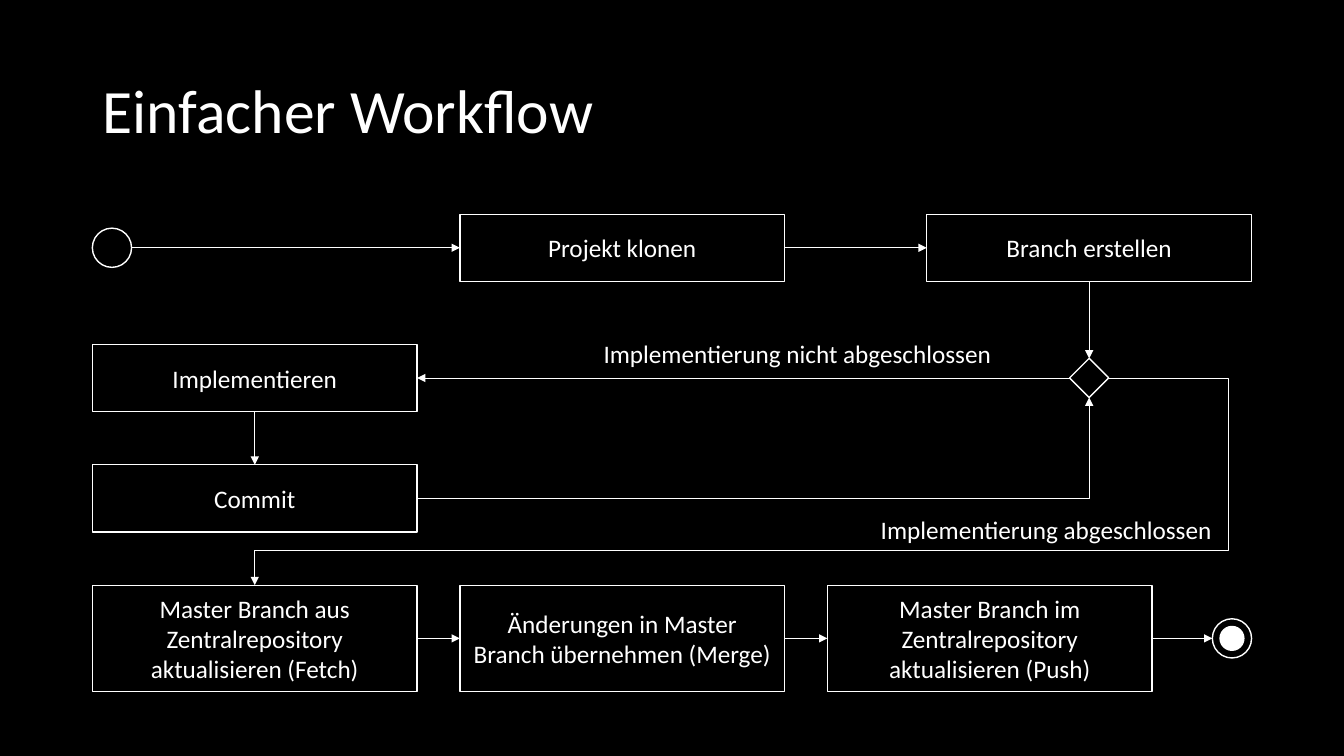
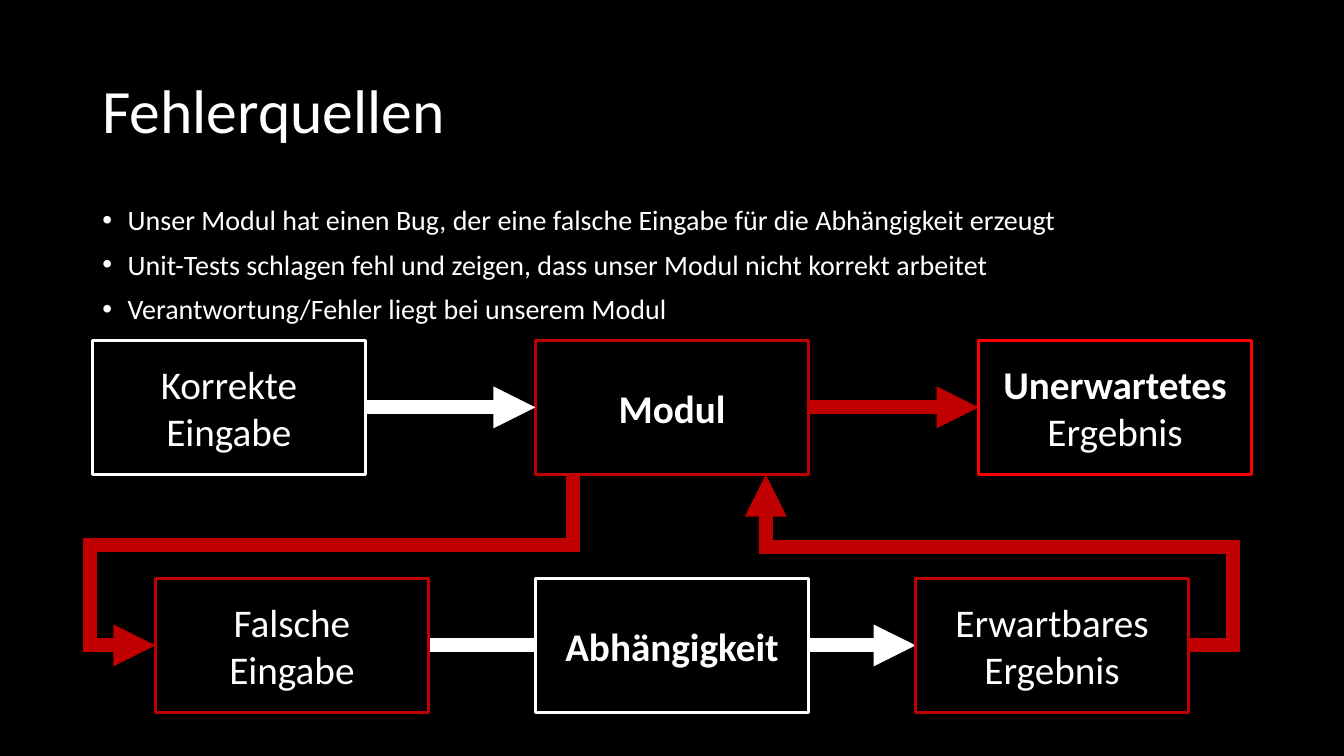
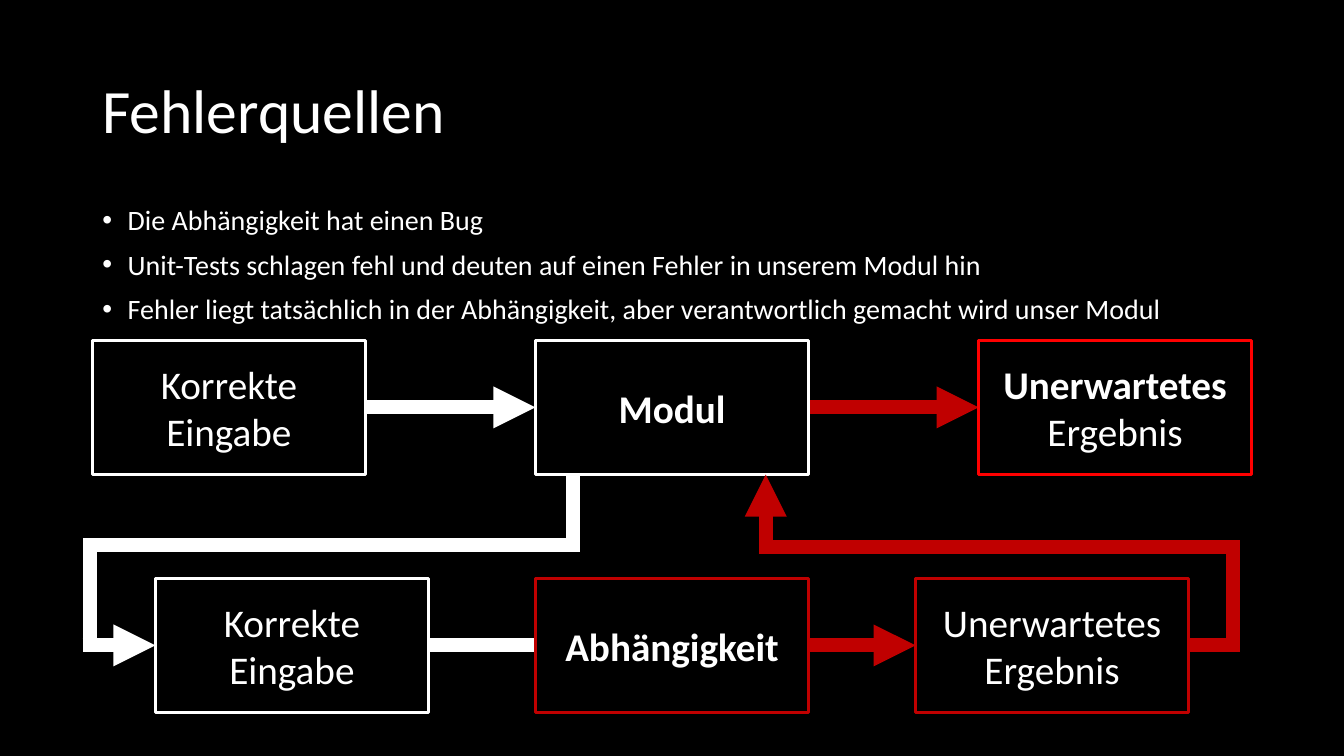
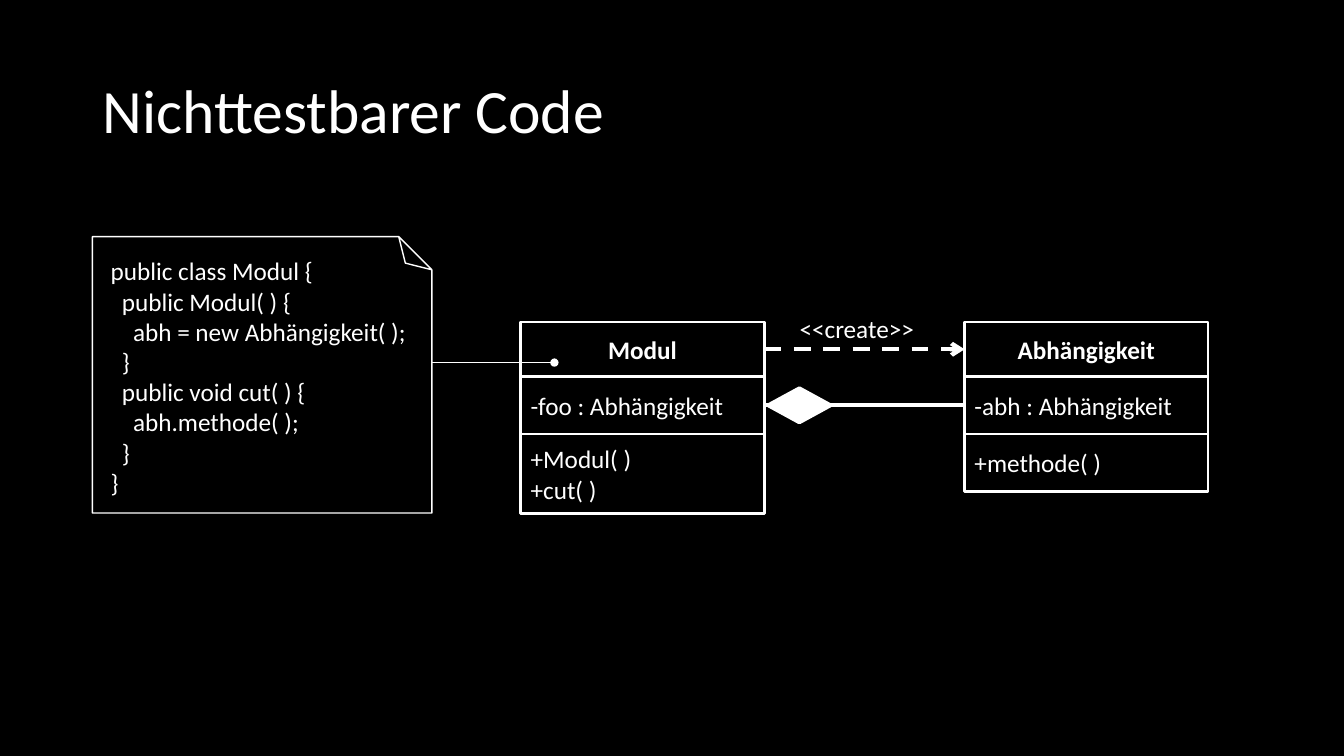
import lxml.etree
import pptx
import pptx.dml.color
import pptx.enum.dml
import pptx.enum.shapes
import pptx.enum.text
import pptx.oxml.ns
import pptx.util

Pt = pptx.util.Pt
SHAPE = pptx.enum.shapes.MSO_SHAPE
CONNECTOR = pptx.enum.shapes.MSO_CONNECTOR
ALIGN = pptx.enum.text.PP_ALIGN

COLORS = {
    "black": "000000",
    "white": "FFFFFF",
    "dark_red": "C00000",
    "red": "FF0000",
}
FONT = "Calibri"
TITLE_AND_BODY, TITLE_ONLY = 1, 5
TOP, LEFT, BOTTOM, RIGHT = range(4)
MARGIN = 66
RIGHT_EDGE = 960 - MARGIN


def rgb(name):
    return pptx.dml.color.RGBColor.from_string(COLORS[name])


def style_font(font, size, bold=False):
    font.name = FONT
    font.size = Pt(size)
    font.bold = bold
    font.color.rgb = rgb("white")


def indent(para, left, first=0):
    """Set the left margin and the first-line offset of a paragraph."""
    properties = para._p.get_or_add_pPr()
    properties.set("marL", str(Pt(left)))
    properties.set("indent", str(Pt(first)))


def place(shape, left, top, width, height):
    shape.left, shape.top = Pt(left), Pt(top)
    shape.width, shape.height = Pt(width), Pt(height)


def set_up_master(deck):
    master = deck.slide_master
    master.background.fill.solid()
    master.background.fill.fore_color.rgb = rgb("black")
    title, body = master.placeholders[0], master.placeholders[1]
    place(title, MARGIN, 29, RIGHT_EDGE - MARGIN, 104)
    place(body, MARGIN, 144, RIGHT_EDGE - MARGIN, 343)


def add_page(deck, title, bullets=()):
    layout = TITLE_AND_BODY if bullets else TITLE_ONLY
    page = deck.slides.add_slide(deck.slide_layouts[layout])
    para = page.shapes.title.text_frame.paragraphs[0]
    para.text = title
    para.alignment = ALIGN.LEFT
    para.line_spacing = 0.9
    style_font(para.font, 44)
    if bullets:
        frame = page.placeholders[1].text_frame
        frame.text = "\n".join(bullets)
        frame.auto_size = pptx.enum.text.MSO_AUTO_SIZE.NONE
        for para in frame.paragraphs:
            para.line_spacing = 0.9
            para.space_before = Pt(10)
            indent(para, 18, -18)
            style_font(para.font, 20)
    return page


def add_shape(owner, kind, area, line="white", width=1, fill=None):
    """Draw a preset shape on a page or in a group; area is left, top, width, height."""
    shape = owner.shapes.add_shape(kind, *map(Pt, area))
    shape.shadow.inherit = False
    shape.line.color.rgb = rgb(line)
    shape.line.width = Pt(width)
    if fill:
        shape.fill.solid()
        shape.fill.fore_color.rgb = rgb(fill)
    else:
        shape.fill.background()
    return shape


def add_box(owner, area, text, size=18, bold=False, align=ALIGN.CENTER, **look):
    box = add_shape(owner, SHAPE.RECTANGLE, area, **look)
    para = box.text_frame.paragraphs[0]
    para.text = text
    para.alignment = align
    style_font(para.font, size, bold)
    return box


def add_text(page, area, lines):
    """Add a text box; each line is a pair of indent level and text."""
    frame = page.shapes.add_textbox(*map(Pt, area)).text_frame
    frame.word_wrap = True
    frame.text = "\n".join(text for level, text in lines)
    for para, (level, text) in zip(frame.paragraphs, lines):
        indent(para, 8 * level)
        style_font(para.font, 18)


def set_guides(shape, **guides):
    """Set the named adjustments of a preset geometry, as fractions."""
    geometry = shape.element.spPr.find(pptx.oxml.ns.qn("a:prstGeom"))
    values = geometry.find(pptx.oxml.ns.qn("a:avLst"))
    if values is None:
        values = lxml.etree.SubElement(geometry, pptx.oxml.ns.qn("a:avLst"))
    for name, value in guides.items():
        guide = lxml.etree.SubElement(values, pptx.oxml.ns.qn("a:gd"))
        guide.set("name", name)
        guide.set("fmla", f"val {round(value * 100000)}")


def add_line(page, start, end, color="white", width=0.5, tip=None,
             kind=CONNECTOR.STRAIGHT, dash=None):
    """Connect two ends, each a point (x, y) or a joint (shape, side)."""
    joints = [not isinstance(stop[0], (int, float)) for stop in (start, end)]
    points = [(0, 0) if joint else stop for joint, stop in zip(joints, (start, end))]
    line = page.shapes.add_connector(kind, *(Pt(value) for point in points for value in point))
    if joints[0]:
        line.begin_connect(*start)
    if joints[1]:
        line.end_connect(*end)
    line.line.color.rgb = rgb(color)
    line.line.width = Pt(width)
    if dash:
        line.line.dash_style = dash
    if tip:
        tail = lxml.etree.SubElement(line.get_or_add_ln(), pptx.oxml.ns.qn("a:tailEnd"))
        tail.set("type", tip)
    lxml.etree.SubElement(line.element.spPr, pptx.oxml.ns.qn("a:effectLst"))
    return line


def add_elbow(page, start, end, preset, **bends):
    """Add a bent arrow; bends are the adjustments of its preset geometry."""
    line = add_line(page, start, end, tip="triangle", kind=CONNECTOR.ELBOW)
    line.element.spPr.find(pptx.oxml.ns.qn("a:prstGeom")).set("prst", preset)
    set_guides(line, **bends)


def send_to_back(shape):
    shape.element.getparent().insert(2, shape.element)


def add_workflow_page(deck):
    page = add_page(deck, "Einfacher Workflow")
    width, height, tall, node = 232, 48, 76, 28
    columns = [MARGIN + 262.5 * index for index in range(3)]
    last_column = RIGHT_EDGE - width

    def circle(center_x, center_y, size, fill=None):
        area = (center_x - size / 2, center_y - size / 2, size, size)
        add_shape(page, SHAPE.OVAL, area, fill=fill)

    circle(MARGIN + node / 2, 177, node)
    clone = add_box(page, (columns[1], 153, width, height), "Projekt klonen")
    branch = add_box(page, (last_column, 153, width, height), "Branch erstellen")
    implement = add_box(page, (MARGIN, 246, width, height), "Implementieren")
    commit = add_box(page, (MARGIN, 332, width, height), "Commit")
    decision_left = last_column + (width - node) / 2
    decision = add_shape(page, SHAPE.DIAMOND, (decision_left, 256, node, node))
    fetch, merge, push = [
        add_box(page, (left, 418, width, tall), text)
        for left, text in zip(columns, (
            "Master Branch aus Zentralrepository aktualisieren (Fetch)",
            "Änderungen in Master Branch übernehmen (Merge)",
            "Master Branch im Zentralrepository aktualisieren (Push)",
        ))
    ]
    circle(RIGHT_EDGE - node / 2, 456, node)
    circle(RIGHT_EDGE - node / 2, 456, 17, fill="white")

    for start, end in (
        ((MARGIN + node, 177), (clone, LEFT)),
        ((clone, RIGHT), (branch, LEFT)),
        ((branch, BOTTOM), (decision, TOP)),
        ((decision, LEFT), (implement, RIGHT)),
        ((implement, BOTTOM), (commit, TOP)),
        ((fetch, RIGHT), (merge, LEFT)),
        ((merge, RIGHT), (push, LEFT)),
        ((push, RIGHT), (RIGHT_EDGE - node, 456)),
    ):
        add_line(page, start, end, tip="triangle")
    add_elbow(page, (commit, RIGHT), (decision, BOTTOM), "bentConnector2")
    add_elbow(page, (decision, RIGHT), (fetch, TOP), "bentConnector4", adj1=-0.14, adj2=0.83)

    add_text(page, (424, 238, 311, 29), [(0, "Implementierung nicht abgeschlossen")])
    add_text(page, (622, 364, 311, 29), [(0, "Implementierung abgeschlossen")])


def add_error_page(deck, bullets, wrong_input, result, module_color, dependency_color):
    """Show how an error travels; the colours tell which part is at fault."""
    page = add_page(deck, "Fehlerquellen", bullets)
    width, height, upper, lower = 195, 96, 243, 413
    middle = (960 - width) / 2

    def box(left, top, text, color, **look):
        return add_box(page, (left, top, width, height), text, 28,
                       line=color, width=2, **look)

    source = box(MARGIN, upper, "Korrekte Eingabe", "white")
    outcome = box(RIGHT_EDGE - width, upper, "Unerwartetes", "red", bold=True)
    rest = outcome.text_frame.paragraphs[0].add_run()
    rest.text = " Ergebnis"
    rest.font.bold = False
    module = box(middle, upper, "Modul", module_color, bold=True, fill="black")
    dependency = box(middle, lower, "Abhängigkeit", dependency_color, bold=True, fill="black")
    passed = box(MARGIN + 45, lower, wrong_input, module_color)
    returned = box(RIGHT_EDGE - 45 - width, lower, result, "dark_red")

    for start, end, color, tip in (
        ((passed, RIGHT), (dependency, LEFT), "white", None),
        ((dependency, RIGHT), (returned, LEFT), dependency_color, "triangle"),
        ((module, RIGHT), (outcome, LEFT), "dark_red", "triangle"),
    ):
        send_to_back(add_line(page, start, end, color, 10, tip))

    for start, end, color, tip in (
        ((source, RIGHT), (module, LEFT), "white", "triangle"),
        ((409, 339), (409, 389), module_color, None),
        ((414, 389), (59, 389), module_color, None),
        ((64, 389), (64, 461), module_color, None),
        ((59, 461), (passed, LEFT), module_color, "triangle"),
        ((returned, RIGHT), (885.5, 461), "dark_red", None),
        ((880.5, 461), (880.5, 391), "dark_red", None),
        ((885.5, 391), (542, 391), "dark_red", None),
        ((547, 391), (547, 339), "dark_red", "triangle"),
    ):
        add_line(page, start, end, color, 10, tip)


def add_class(page, left, name, attribute, methods, methods_height):
    """Draw a class as a group of three rows and return the rows."""
    group = page.shapes.add_group_shape()
    rows, top = [], 230
    for text, height in ((name, 39), (attribute, 41), (methods, methods_height)):
        header = not rows
        rows.append(add_box(
            group, (left, top, 174, height), text, bold=header,
            align=ALIGN.CENTER if header else ALIGN.LEFT, width=2, fill="black"))
        top += height
    return rows


def add_code_page(deck):
    page = add_page(deck, "Nichttestbarer Code")
    note = add_shape(page, SHAPE.FOLDED_CORNER, (MARGIN, 169, 242.5, 197.5))
    set_guides(note, adj=0.12)
    note.element.spPr.xfrm.set("flipV", "1")
    add_text(page, (72, 179, 228, 181), [
        (0, "public class Modul {"),
        (1, "public Modul( ) {"),
        (2, "abh = new Abhängigkeit( );"),
        (1, "}"),
        (1, "public void cut( ) {"),
        (2, "abh.methode( );"),
        (1, "}"),
        (0, "}"),
    ])
    module = add_class(page, 372, "Modul", "-foo : Abhängigkeit", "+Modul( )\v+cut( )", 57)
    dependency = add_class(page, 689, "Abhängigkeit", "-abh : Abhängigkeit", "+methode( )", 41)
    add_line(page, (308.5, 259), (396, 259), tip="oval")
    add_line(page, (module[0], RIGHT), (dependency[0], LEFT), width=3, tip="arrow",
             dash=pptx.enum.dml.MSO_LINE.DASH)
    add_line(page, (module[1], RIGHT), (dependency[1], LEFT), width=3)
    add_shape(page, SHAPE.DIAMOND, (549, 277.5, 44, 24), width=3, fill="white")
    add_text(page, (564, 220, 107, 29), [(0, "<<create>>")])


def main():
    deck = pptx.Presentation()
    deck.slide_width, deck.slide_height = Pt(960), Pt(540)
    set_up_master(deck)
    add_workflow_page(deck)
    add_error_page(
        deck,
        ("Unser Modul hat einen Bug, der eine falsche Eingabe für die Abhängigkeit erzeugt",
         "Unit-Tests schlagen fehl und zeigen, dass unser Modul nicht korrekt arbeitet",
         "Verantwortung/Fehler liegt bei unserem Modul"),
        "Falsche\vEingabe", "Erwartbares Ergebnis", "dark_red", "white")
    add_error_page(
        deck,
        ("Die Abhängigkeit hat einen Bug",
         "Unit-Tests schlagen fehl und deuten auf einen Fehler in unserem Modul hin",
         "Fehler liegt tatsächlich in der Abhängigkeit, aber verantwortlich gemacht wird unser Modul"),
        "Korrekte Eingabe", "Unerwartetes Ergebnis", "white", "dark_red")
    add_code_page(deck)
    deck.save("out.pptx")


if __name__ == "__main__":
    main()
